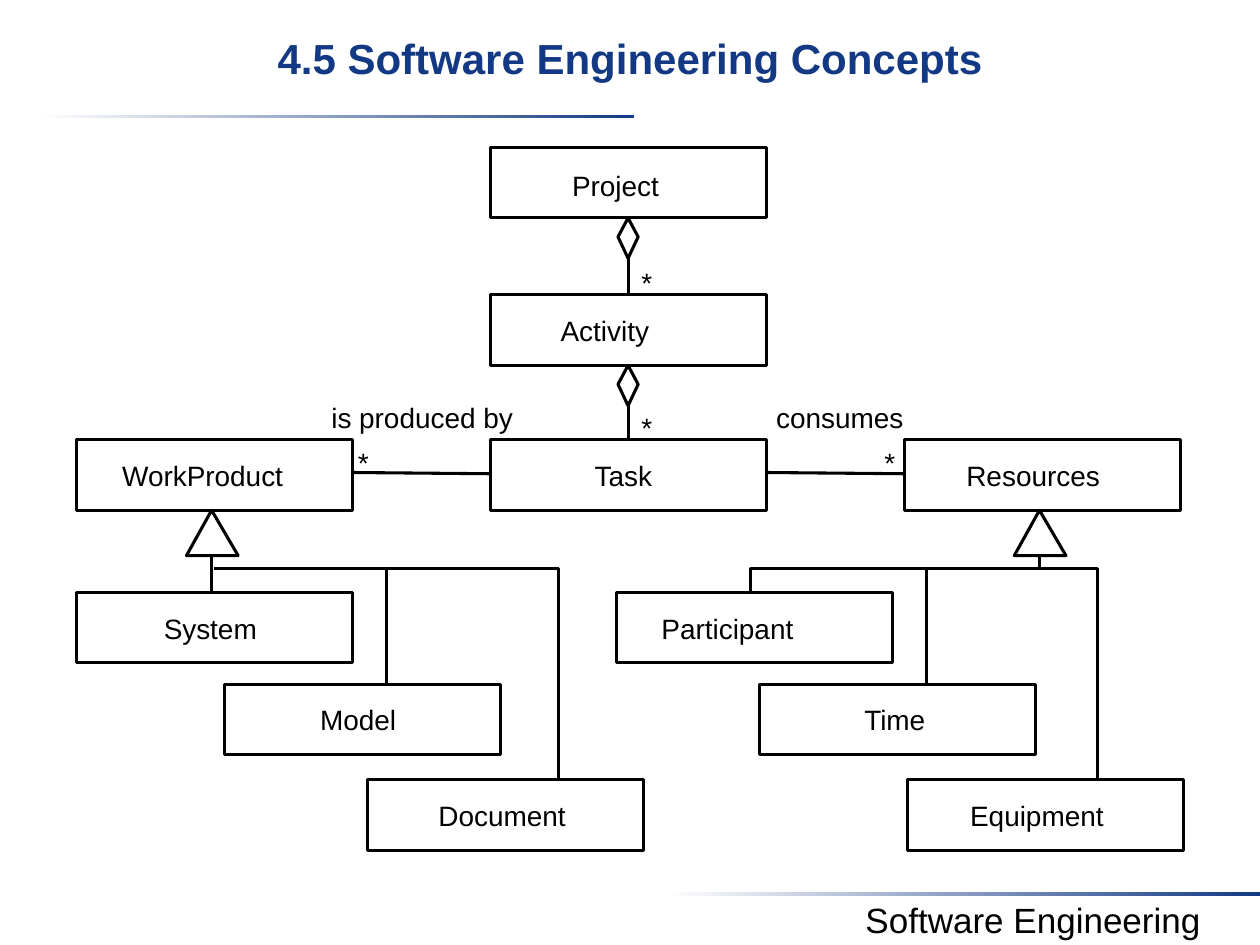
from pptx import Presentation
from pptx.dml.color import RGBColor
from pptx.enum.shapes import MSO_CONNECTOR, MSO_SHAPE
from pptx.enum.text import MSO_ANCHOR, MSO_AUTO_SIZE, PP_ALIGN
from pptx.oxml.ns import qn
from pptx.util import Inches, Pt
from lxml.etree import SubElement

NAVY = RGBColor(0x13, 0x39, 0x84)
BLACK = RGBColor(0, 0, 0)
WHITE = RGBColor(255, 255, 255)
FONT = "Arial"
STROKE = Pt(1.75)

BOX_WIDTH, BOX_HEIGHT = 2.19, 0.56
LABEL_HEIGHT, LABEL_DROP = 0.27, 0.15
PROJECT, ACTIVITY, TASK = 1.17, 2.34, 3.49  # tops of the upper rows
FIRST, SECOND, THIRD = 4.7, 5.43, 6.19  # tops of the subclass rows
LEFT, CENTER, RIGHT = 0.61, 3.89, 7.18
MIDDLE = CENTER + BOX_WIDTH / 2
BUS = 4.51  # height of the horizontal inheritance lines
ARROW_BASE = 4.41

TITLE = "4.5 Software Engineering Concepts"
FOOTER = "Software Engineering"
RULES = [(0.31, 0.91), (5.28, 7.08)]

# name, box left, box top, label left, label width
CLASSES = [
    ("Project", CENTER, PROJECT, 4.54, 0.94),
    ("Activity", CENTER, ACTIVITY, 4.45, 1.07),
    ("Task", CENTER, TASK, 4.72, 0.53),
    ("WorkProduct", LEFT, TASK, 0.97, 1.47),
    ("Resources", RIGHT, TASK, 7.67, 1.2),
    ("System", LEFT, FIRST, 1.3, 0.8),
    ("Model", 1.78, SECOND, 2.54, 0.67),
    ("Document", 2.92, THIRD, 3.48, 1.07),
    ("Participant", 4.89, FIRST, 5.25, 1.47),
    ("Time", 6.03, SECOND, 6.86, 0.53),
    ("Equipment", 7.2, THIRD, 7.7, 1.2),
]
# text, left, top, width
LABELS = [
    ("is produced by", 2.63, 3.18, 1.87),
    ("consumes", 6.16, 3.18, 1.07),
    ("*", 5.09, 2.11, 0.13),
    ("*", 5.09, 3.26, 0.13),
    ("*", 2.84, 3.54, 0.13),
    ("*", 7.02, 3.54, 0.13),
]
LINES = [
    ((LEFT + BOX_WIDTH, 3.75), (CENTER, 3.76)),
    ((CENTER + BOX_WIDTH, 3.75), (RIGHT, 3.76)),
    ((1.68, FIRST), (1.68, ARROW_BASE)),
    ((3.07, SECOND), (3.07, BUS)),
    ((7.35, SECOND), (7.35, BUS)),
]
BRANCHES = [
    [(1.7, BUS), (4.43, BUS), (4.43, THIRD)],
    [(5.96, FIRST), (5.96, BUS), (8.25, BUS), (8.25, ARROW_BASE)],
    [(8.1, BUS), (8.71, BUS), (8.71, THIRD)],
]
AGGREGATIONS = [(PROJECT, ACTIVITY), (ACTIVITY, TASK)]
INHERITANCE_AXES = [1.68, 8.25]


def write(shape, text, size=16, color=BLACK, bold=False, align=PP_ALIGN.LEFT):
    frame = shape.text_frame
    frame.text = text
    frame.vertical_anchor = MSO_ANCHOR.TOP
    paragraph = frame.paragraphs[0]
    paragraph.alignment = align
    font = paragraph.runs[0].font
    font.name, font.size, font.bold = FONT, Pt(size), bold
    font.color.rgb = color
    return frame


def add_label(slide, text, left, top, width):
    box = slide.shapes.add_textbox(*map(Inches, (left, top, width, LABEL_HEIGHT)))
    frame = write(box, text)
    frame.margin_left = frame.margin_right = frame.margin_top = frame.margin_bottom = 0
    frame.word_wrap = False
    frame.auto_size = MSO_AUTO_SIZE.SHAPE_TO_FIT_TEXT


def outline(shape, fill=None):
    shape.shadow.inherit = False
    if fill is None:
        shape.fill.background()
    else:
        shape.fill.solid()
        shape.fill.fore_color.rgb = fill
    shape.line.color.rgb = BLACK
    shape.line.width = STROKE


def add_line(slide, start, end):
    line = slide.shapes.add_connector(
        MSO_CONNECTOR.STRAIGHT, *map(Inches, (*start, *end)))
    line.line.color.rgb = BLACK
    line.line.width = STROKE
    SubElement(line._element.spPr, qn("a:effectLst"))


def add_path(slide, points, close=False, fill=None):
    start, *rest = [(Inches(x), Inches(y)) for x, y in points]
    builder = slide.shapes.build_freeform(*start)
    builder.add_line_segments(rest, close=close)
    outline(builder.convert_to_shape(), fill)


def add_rule(slide, left, top):
    rule = slide.shapes.add_shape(
        MSO_SHAPE.RECTANGLE, *map(Inches, (left, top, 4.72, 0.03)))
    rule.shadow.inherit = False
    rule.line.fill.background()
    rule.fill.gradient()
    rule.fill.gradient_angle = 0
    for stop, position, color in zip(rule.fill.gradient_stops, (0, 1), (WHITE, NAVY)):
        stop.position = position
        stop.color.rgb = color


def add_class(slide, name, left, top, label_left, label_width):
    box = slide.shapes.add_shape(
        MSO_SHAPE.RECTANGLE, *map(Inches, (left, top, BOX_WIDTH, BOX_HEIGHT)))
    outline(box)
    drop = 0.17 if top == PROJECT else LABEL_DROP
    add_label(slide, name, label_left, top + drop, label_width)


def add_aggregation(slide, whole_top, part_top):
    """Draw a diamond below the whole and a line down to the part."""
    tip = whole_top + BOX_HEIGHT
    add_line(slide, (MIDDLE, tip + 0.3), (MIDDLE, part_top))
    diamond = [(MIDDLE - 0.08, tip + 0.15), (MIDDLE, tip),
               (MIDDLE + 0.08, tip + 0.15), (MIDDLE, tip + 0.32)]
    add_path(slide, diamond, close=True, fill=WHITE)


def main():
    presentation = Presentation()
    presentation.slide_width, presentation.slide_height = Inches(10), Inches(7.5)
    slide = presentation.slides.add_slide(presentation.slide_layouts[5])

    title = slide.shapes.title
    title.left, title.top, title.width, title.height = map(Inches, (0, 0.2, 10, 0.75))
    frame = write(title, TITLE, size=24, color=NAVY, bold=True, align=PP_ALIGN.CENTER)
    frame.margin_top = Inches(0.06)

    for rule in RULES:
        add_rule(slide, *rule)
    footer = slide.shapes.add_textbox(*map(Inches, (6.4, 7.08, 3.6, 0.44)))
    write(footer, FOOTER, size=20, align=PP_ALIGN.CENTER).word_wrap = True

    for item in CLASSES:
        add_class(slide, *item)
    for line in LINES:
        add_line(slide, *line)
    for branch in BRANCHES:
        add_path(slide, branch)
    for aggregation in AGGREGATIONS:
        add_aggregation(slide, *aggregation)
    for axis in INHERITANCE_AXES:
        triangle = [(axis - 0.2, ARROW_BASE), (axis, TASK + BOX_HEIGHT),
                    (axis + 0.21, ARROW_BASE)]
        add_path(slide, triangle, close=True)
    for label in LABELS:
        add_label(slide, *label)

    presentation.save("out.pptx")


if __name__ == "__main__":
    main()
